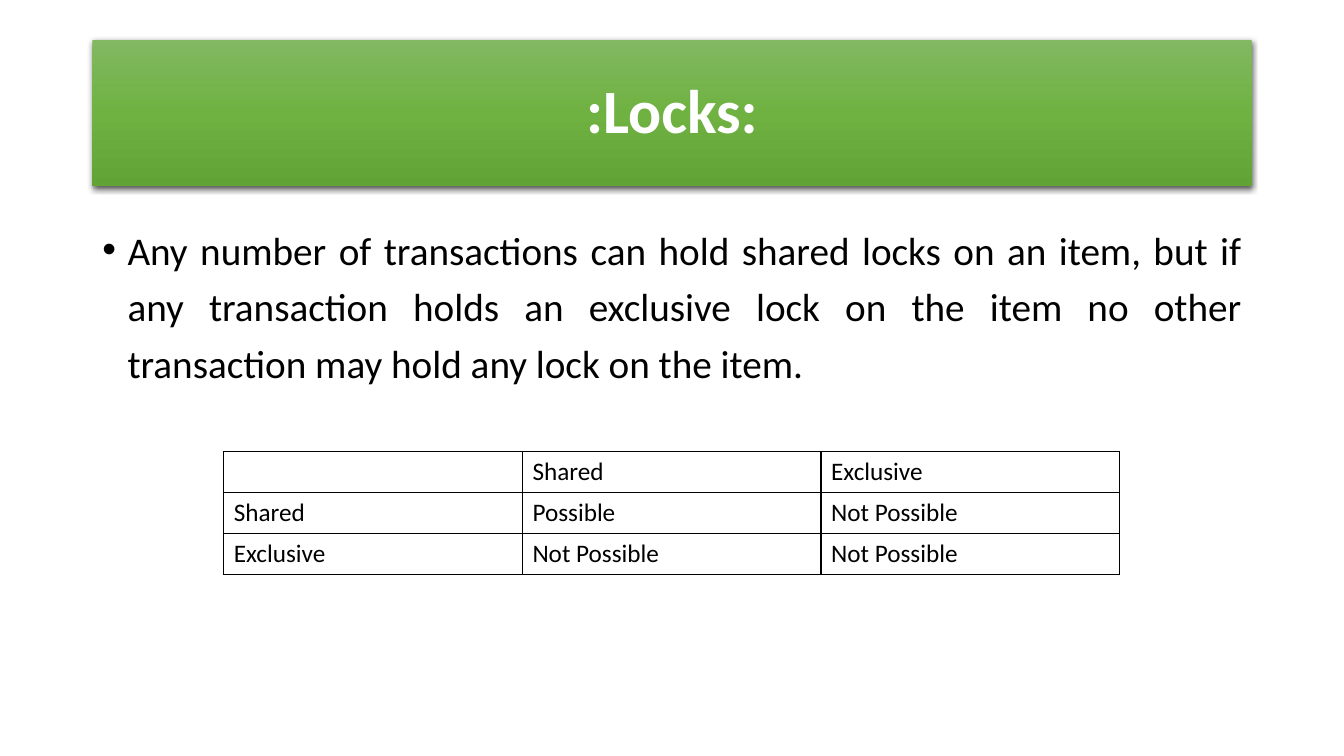
from lxml.etree import SubElement
from pptx import Presentation
from pptx.dml.color import RGBColor
from pptx.enum.text import MSO_ANCHOR as Anchor, PP_ALIGN as Align
from pptx.oxml import parse_xml
from pptx.oxml.ns import nsdecls, qn
from pptx.util import Cm, Pt


def set_font(font, color, **values):
    font.color.rgb = RGBColor.from_string(color)
    for name, value in {"name": "Calibri", **values}.items():
        setattr(font, name, value)


prs = Presentation()
prs.slide_width, prs.slide_height = Cm(33.87), Cm(19.05)
s = prs.slides.add_slide(prs.slide_layouts[5])

# Title banner
title = s.shapes.title
title.left, title.top, title.width, title.height = Cm(2.33), Cm(1.01), Cm(29.21), Cm(3.68)
stops = "".join(
    f'<a:gs pos="{pos * 1000}"><a:srgbClr val="{color}"/></a:gs>'
    for pos, color in [(0, "81B861"), (50, "6FB242"), (100, "62A336")]
)
banner_effects = [
    f'<a:gradFill {nsdecls("a")} rotWithShape="1"><a:gsLst>{stops}</a:gsLst>'
    '<a:lin ang="5400000" scaled="0"/></a:gradFill>',
    f'<a:effectLst {nsdecls("a")}><a:outerShdw blurRad="{Pt(4.5)}" dist="{Pt(1.5)}" '
    'dir="5400000" algn="ctr" rotWithShape="0"><a:srgbClr val="000000">'
    '<a:alpha val="63000"/></a:srgbClr></a:outerShdw></a:effectLst>',
]
for xml in banner_effects:
    title.element.spPr.append(parse_xml(xml))
tf = title.text_frame
tf.text = ":Locks:"
tf.vertical_anchor = Anchor.MIDDLE
p = tf.paragraphs[0]
p.alignment, p.line_spacing = Align.CENTER, 0.9
set_font(p.runs[0].font, "FFFFFF", size=Pt(44), bold=True)

# Rule for shared and exclusive locks
body = s.shapes.add_textbox(Cm(2.33), Cm(5.33), Cm(29.21), Cm(12.09))
tf = body.text_frame
tf.word_wrap = True
p = tf.paragraphs[0]
p.alignment, p.line_spacing = Align.JUSTIFY, 1.2
pPr = p._p.get_or_add_pPr()
pPr.set("marL", str(Pt(18)))
pPr.set("indent", str(-Pt(18)))
SubElement(pPr, qn("a:buFont"), typeface="Arial")
SubElement(pPr, qn("a:buChar"), char="•")
r = p.add_run()
r.text = (
    "Any number of transactions can hold shared locks on an item, but if any "
    "transaction holds an exclusive lock on the item no other transaction may "
    "hold any lock on the item."
)
set_font(r.font, "000000", size=Pt(28))

# Lock compatibility table
rows = [
    ["", "Shared", "Exclusive"],
    ["Shared", "Possible", "Not Possible"],
    ["Exclusive", "Not Possible", "Not Possible"],
]
table = s.shapes.add_table(3, 3, Cm(5.64), Cm(11.38), Cm(22.58), Cm(3.1)).table
table.first_row = table.horz_banding = False
for i, row in enumerate(rows):
    for j, text in enumerate(row):
        cell = table.cell(i, j)
        tcPr = cell._tc.get_or_add_tcPr()
        for side in ("lnL", "lnR", "lnT", "lnB"):
            ln = SubElement(tcPr, qn(f"a:{side}"), w=str(Pt(1)))
            SubElement(SubElement(ln, qn("a:solidFill")), qn("a:srgbClr"), val="000000")
        cell.fill.background()
        cell.text = text
        for r in cell.text_frame.paragraphs[0].runs:
            set_font(r.font, "000000", size=Pt(18))

prs.save("out.pptx")
